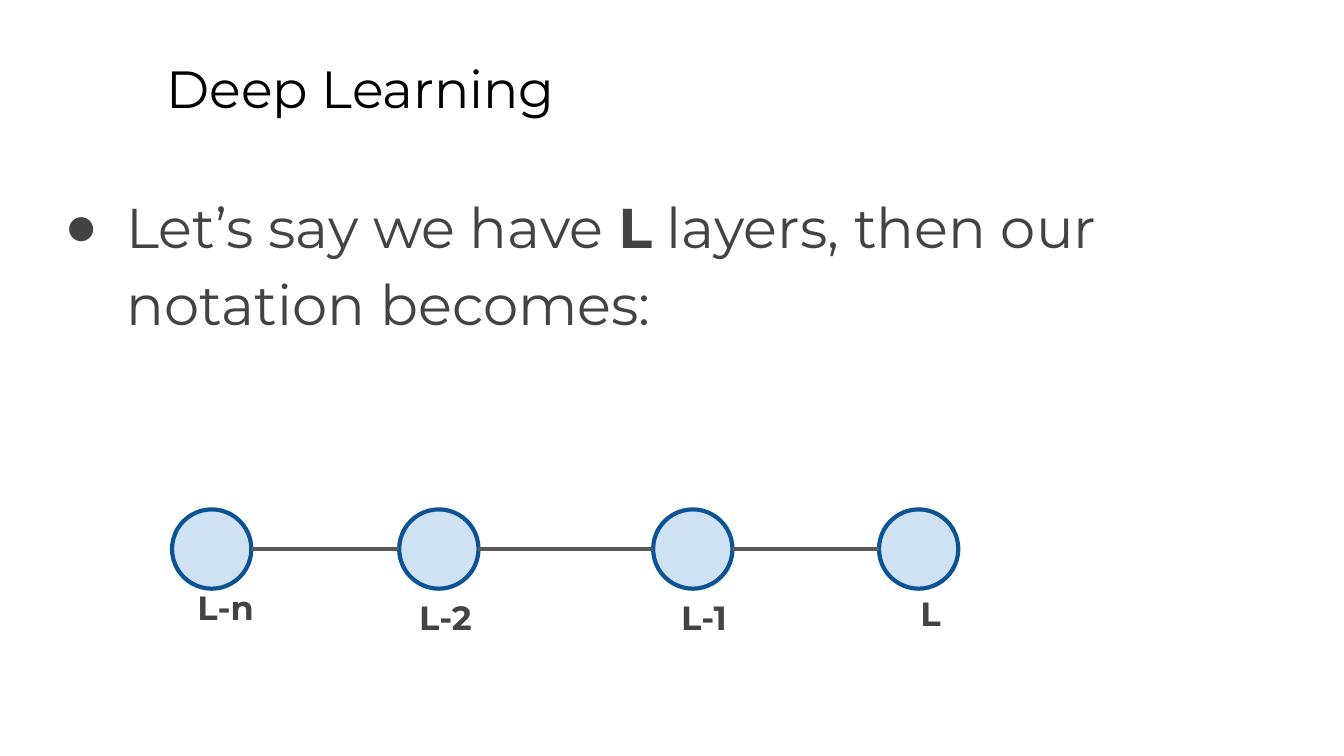
from pptx import Presentation
from pptx.dml.color import RGBColor
from pptx.enum.shapes import MSO_CONNECTOR as CONN, MSO_SHAPE as SHAPE
from pptx.enum.text import MSO_ANCHOR as ANCHOR, PP_ALIGN as ALIGN
from pptx.oxml.ns import qn
from pptx.util import Inches, Pt
from lxml.etree import SubElement

FONT = "Montserrat"
INK = "434343"


def color(code):
    return RGBColor.from_string(code)


def style(shape):
    frame = shape.text_frame
    form = {"word_wrap": True, "vertical_anchor": ANCHOR.TOP}
    for side in ("left", "top", "right", "bottom"):
        form["margin_" + side] = Inches(0.1)
    for name, value in form.items():
        setattr(frame, name, value)
    para = frame.paragraphs[0]
    para.alignment = ALIGN.LEFT
    return para


def write(para, text, size, code=INK, bold=False):
    run = para.add_run()
    run.text = text
    form = {"name": FONT, "size": Pt(size), "bold": bold}
    for name, value in form.items():
        setattr(run.font, name, value)
    run.font.color.rgb = color(code)


def add_text(slide, box):
    return style(slide.shapes.add_textbox(*map(Inches, box)))


def add_bullet(para, indent, hang):
    props = para._p.get_or_add_pPr()
    props.set("marL", str(Inches(indent)))
    props.set("indent", str(-Inches(hang)))
    tint = SubElement(props, qn("a:buClr"))
    SubElement(tint, qn("a:srgbClr"), val=INK)
    SubElement(props, qn("a:buFont"), typeface="Arial")
    SubElement(props, qn("a:buChar"), char="●")


def set_title(slide, box, text):
    title = slide.shapes.title
    for name, value in zip(("left", "top", "width", "height"), box):
        setattr(title, name, Inches(value))
    write(style(title), text, 28, "000000")


def add_body(slide, box, parts):
    para = add_text(slide, box)
    para.line_spacing = 1.15
    add_bullet(para, 0.5, 0.46)
    for text, bold in parts:
        write(para, text, 30, bold=bold)


def add_node(slide, left, top, size):
    node = slide.shapes.add_shape(SHAPE.OVAL, *map(Inches, (left, top, size, size)))
    node.shadow.inherit = False
    node.fill.solid()
    node.fill.fore_color.rgb = color("CFE2F3")
    node.line.color.rgb = color("0B5394")
    node.line.width = Pt(2.25)


def add_link(slide, start, end, y):
    link = slide.shapes.add_connector(CONN.STRAIGHT, *map(Inches, (start, y, end, y)))
    link.line.color.rgb = color("595959")
    link.line.width = Pt(2.25)
    SubElement(link._element.spPr, qn("a:effectLst"))


def add_chain(slide, left, top, size, layers):
    """Layers hold the node's offset, its label, and the label's offset from the node."""
    spots = [left + layer[0] for layer in layers]
    for x in spots:
        add_node(slide, x, top, size)
    for x, after in zip(spots, spots[1:]):
        add_link(slide, x + size, after, top + size / 2)
    for x, (_, text, dx, dy) in zip(spots, layers):
        para = add_text(slide, (x + dx, top + dy, 1.45, 0.59))
        para.space_after = Pt(16)
        write(para, text, 18, bold=True)


def main():
    deck = Presentation()
    deck.slide_width = Inches(10)
    deck.slide_height = deck.slide_width * 9 // 16
    slide = deck.slides.add_slide(deck.slide_layouts[5])
    set_title(slide, (1.14, 0.32, 8.52, 0.63), "Deep Learning")
    add_body(slide, (0.34, 1.26, 9.32, 3.74), [
        ("Let’s say we have ", False),
        ("L", True),
        (" layers, then our notation becomes:", False),
    ])
    add_chain(slide, 1.28, 3.79, 0.59, [
        (0, "L-n", 0.09, 0.48),
        (1.69, "L-2", 0.05, 0.55),
        (3.58, "L-1", 0.11, 0.55),
        (5.26, "L", 0.21, 0.52),
    ])
    deck.save("out.pptx")


if __name__ == "__main__":
    main()
